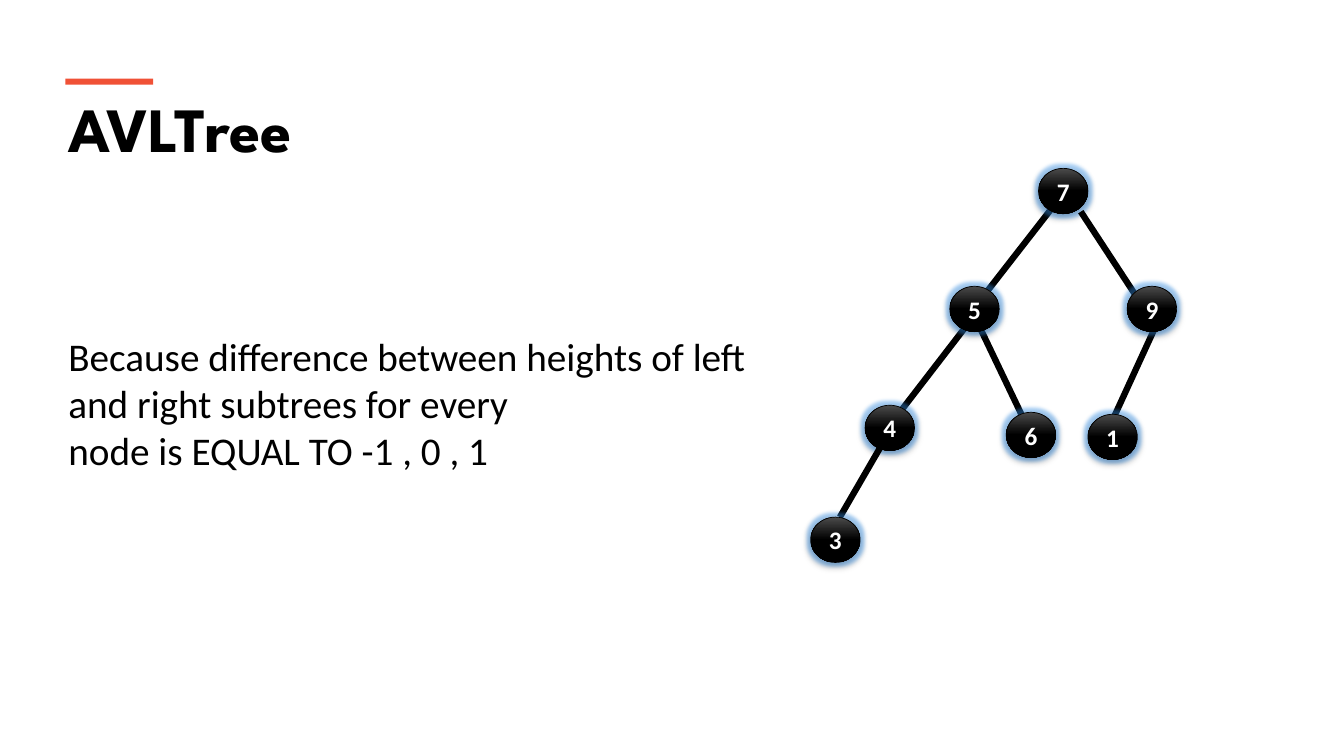
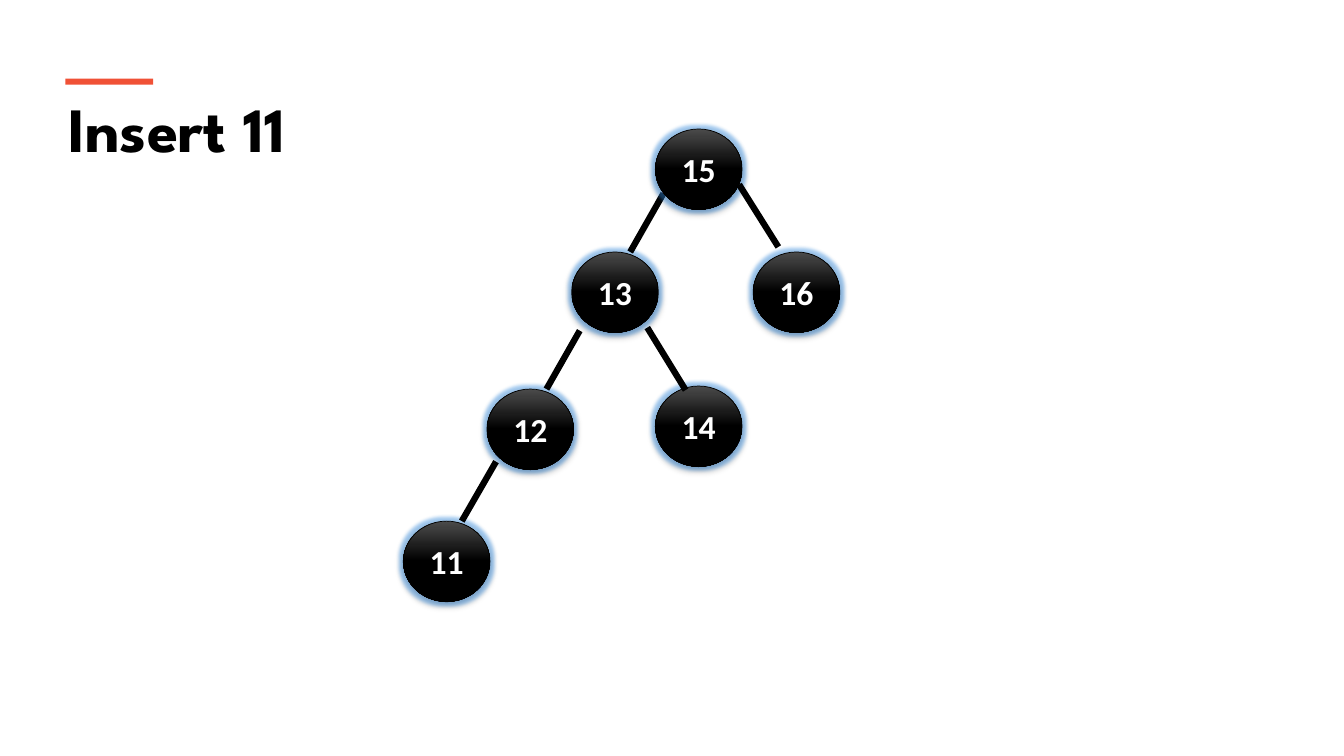
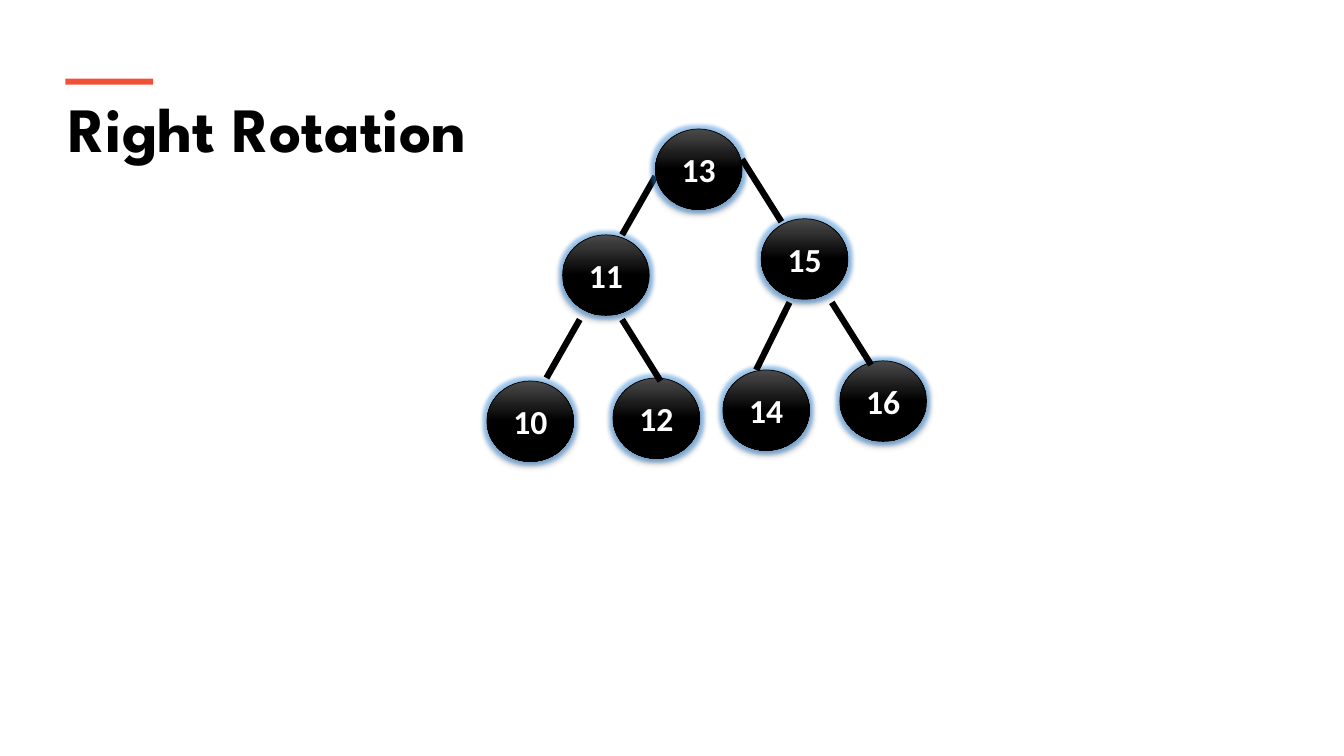
import dataclasses

import pptx
import pptx.dml.color
import pptx.enum.shapes
import pptx.enum.text
import pptx.oxml
import pptx.util
from lxml import etree

Inches, Pt = pptx.util.Inches, pptx.util.Pt
RGB = pptx.dml.color.RGBColor.from_string
ALIGN, ANCHOR = pptx.enum.text.PP_ALIGN, pptx.enum.text.MSO_ANCHOR
SHAPE = pptx.enum.shapes.MSO_SHAPE
STRAIGHT = pptx.enum.shapes.MSO_CONNECTOR.STRAIGHT
DRAWING = "http://schemas.openxmlformats.org/drawingml/2006/main"


@dataclasses.dataclass(frozen=True)
class Theme:
    ink: str = "000000"
    paper: str = "FFFFFF"
    accent: str = "F05136"
    node_top: str = "4B4B4B"
    glow: str = "3494F0"
    title_font: str = "League Spartan"
    body_font: str = "Calibri"
    title_size: float = 45
    body_size: float = 28
    edge_width: float = 4.5
    outline_width: float = 0.5


THEME = Theme()
SLIDE_SIZE = (13.33, 7.5)
TITLE_BOX = (0.58, 0.84, 12.18, 0.86)
ACCENT_BAR = (0.65, 0.78, 0.87, 0.06)
BODY_BOX = (0.58, 3.25, 7.08, 1.51)
BODY_INDENT = 0.56
SMALL_NODE = {"size": (0.49, 0.45), "type_size": 18, "edge_first": True}
LARGE_NODE = {"size": (0.86, 0.8), "type_size": 24, "edge_first": False}

# Each node: key, left, top, edge from its parent (x1, y1, x2, y2).
# Nodes are listed from back to front.
SLIDES = [
    {
        "title": "AVLTree",
        "body": [
            "Because difference between heights of left",
            "and right subtrees for every",
            "node is EQUAL TO -1 , 0 , 1",
        ],
        "style": SMALL_NODE,
        "nodes": [
            ("6", 9.98, 4.09, (9.69, 3.19, 10.13, 4.11)),
            ("1", 10.79, 4.11, (11.47, 3.22, 11.02, 4.2)),
            ("4", 8.58, 4.02, (9.61, 3.2, 8.84, 4.2)),
            ("5", 9.42, 2.84, (10.46, 2.03, 9.69, 3.02)),
            ("7", 10.3, 1.67, None),
            ("3", 8.04, 5.13, (8.73, 4.44, 8.33, 5.13)),
            ("9", 11.18, 2.84, (10.72, 2.1, 11.25, 2.91)),
        ],
    },
    {
        "title": "Insert 11",
        "body": [],
        "style": LARGE_NODE,
        "nodes": [
            ("13", 5.67, 2.5, (6.58, 1.92, 6.25, 2.5)),
            ("15", 6.5, 1.28, None),
            ("16", 7.47, 2.5, (7.33, 1.83, 7.72, 2.45)),
            ("12", 4.83, 3.86, (5.75, 3.28, 5.42, 3.86)),
            ("14", 6.5, 3.83, (6.42, 3.25, 6.8, 3.87)),
            ("11", 4, 5.17, (4.92, 4.58, 4.58, 5.17)),
        ],
    },
    {
        "title": "Right Rotation",
        "body": [],
        "style": LARGE_NODE,
        "nodes": [
            ("11", 5.58, 2.33, (6.5, 1.75, 6.17, 2.33)),
            ("13", 6.5, 1.28, None),
            ("15", 7.55, 2.17, (7.36, 1.58, 7.75, 2.2)),
            ("10", 4.83, 3.78, (5.75, 3.17, 5.42, 3.75)),
            ("16", 8.33, 3.58, (8.25, 3, 8.64, 3.62)),
            ("14", 7.17, 3.67, (7.83, 3, 7.5, 3.67)),
            ("12", 6.08, 3.75, (6.17, 3.17, 6.55, 3.78)),
        ],
    },
]


def inches(lengths):
    return [Inches(length) for length in lengths]


def add_run(p, text, font, size, color, bold=False):
    r = p.add_run()
    r.text = text
    r.font.name, r.font.size, r.font.bold = font, Pt(size), bold
    r.font.color.rgb = RGB(color)


def add_effects(shape, content=""):
    """Replace inherited effects; without content, switch them off."""
    for old in shape._element.spPr.findall(f"{{{DRAWING}}}effectLst"):
        shape._element.spPr.remove(old)
    xml = f'<a:effectLst xmlns:a="{DRAWING}">{content}</a:effectLst>'
    shape._element.spPr.append(pptx.oxml.parse_xml(xml))


def add_title(s, text):
    title = s.shapes.title
    title.left, title.top, title.width, title.height = inches(TITLE_BOX)
    tf = title.text_frame
    tf.word_wrap = True
    tf.auto_size = pptx.enum.text.MSO_AUTO_SIZE.NONE
    tf.vertical_anchor = ANCHOR.TOP
    p = tf.paragraphs[0]
    p.alignment = ALIGN.LEFT
    add_run(p, text, THEME.title_font, THEME.title_size, THEME.ink, True)

    bar = s.shapes.add_shape(SHAPE.RECTANGLE, *inches(ACCENT_BAR))
    bar.shadow.inherit = False
    bar.fill.solid()
    bar.fill.fore_color.rgb = RGB(THEME.accent)
    bar.line.fill.background()


def add_body(s, lines):
    tf = s.shapes.add_textbox(*inches(BODY_BOX)).text_frame
    tf.word_wrap = True
    for i, line in enumerate(lines):
        p = tf.add_paragraph() if i else tf.paragraphs[0]
        pPr = p._p.get_or_add_pPr()
        pPr.set("marL", str(Inches(BODY_INDENT)))
        pPr.set("indent", str(-Inches(BODY_INDENT)))
        add_run(p, line, THEME.body_font, THEME.body_size, THEME.ink)


def add_edge(s, ends):
    edge = s.shapes.add_connector(STRAIGHT, *inches(ends))
    edge.line.width = Pt(THEME.edge_width)
    edge.line.color.rgb = RGB(THEME.ink)
    add_effects(edge)


def add_node(s, key, left, top, style):
    node = s.shapes.add_shape(SHAPE.OVAL, *inches((left, top, *style["size"])))
    node.fill.gradient()
    node.fill.gradient_angle = 270
    upper, lower = node.fill.gradient_stops
    upper.color.rgb, upper.position = RGB(THEME.node_top), 0
    lower.color.rgb, lower.position = RGB(THEME.ink), 0.5
    node.line.color.rgb = RGB(THEME.ink)
    node.line.width = Pt(THEME.outline_width)
    add_effects(
        node,
        f'<a:glow rad="{Pt(5)}"><a:srgbClr val="{THEME.glow}">'
        '<a:alpha val="40000"/></a:srgbClr></a:glow>'
        f'<a:outerShdw blurRad="{Pt(3.1)}" dist="{Pt(1.8)}" dir="5400000" rotWithShape="0">'
        f'<a:srgbClr val="{THEME.ink}"><a:alpha val="35000"/></a:srgbClr></a:outerShdw>',
    )
    tf = node.text_frame
    tf.word_wrap = False
    tf.vertical_anchor = ANCHOR.MIDDLE
    tf.margin_left = tf.margin_right = Inches(0.09)
    tf.margin_top = tf.margin_bottom = Inches(0.04)
    p = tf.paragraphs[0]
    p.alignment = ALIGN.CENTER
    add_run(p, key, THEME.body_font, style["type_size"], THEME.paper, True)


def add_tree(s, nodes, style):
    for key, left, top, edge in nodes:
        if edge and style["edge_first"]:
            add_edge(s, edge)
        add_node(s, key, left, top, style)
        if edge and not style["edge_first"]:
            add_edge(s, edge)


def main():
    prs = pptx.Presentation()
    prs.slide_width, prs.slide_height = inches(SLIDE_SIZE)
    title_only = prs.slide_layouts.get_by_name("Title Only")
    for content in SLIDES:
        s = prs.slides.add_slide(title_only)
        s.background.fill.solid()
        s.background.fill.fore_color.rgb = RGB(THEME.paper)
        add_title(s, content["title"])
        if content["body"]:
            add_body(s, content["body"])
        add_tree(s, content["nodes"], content["style"])
    prs.save("out.pptx")


if __name__ == "__main__":
    main()
